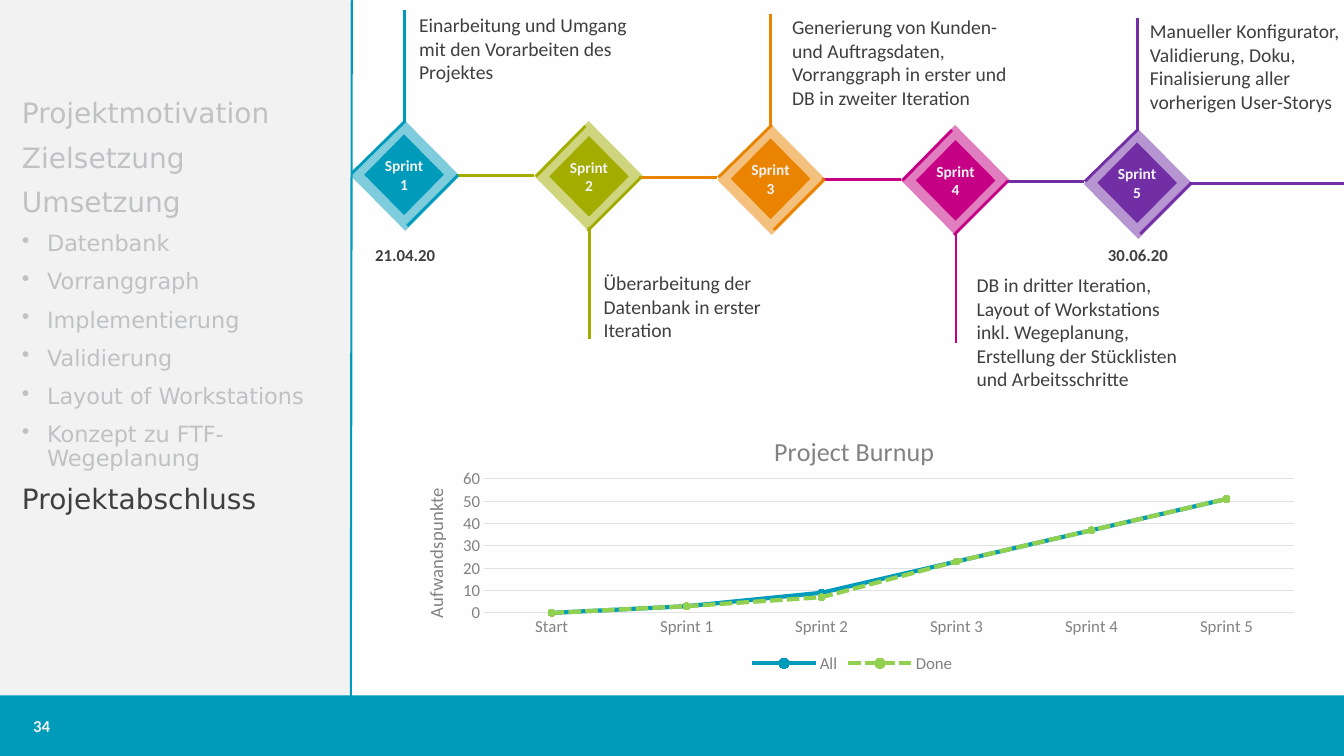
from lxml import etree
from pptx import Presentation
from pptx.chart.data import CategoryChartData
from pptx.dml.color import RGBColor
from pptx.enum.chart import XL_CHART_TYPE as ChartType
from pptx.enum.chart import XL_LEGEND_POSITION as LegendPosition
from pptx.enum.chart import XL_MARKER_STYLE as MarkerStyle
from pptx.enum.chart import XL_TICK_MARK as TickMark
from pptx.enum.dml import MSO_LINE as Dash
from pptx.enum.shapes import MSO_CONNECTOR as Connector
from pptx.enum.shapes import MSO_SHAPE as Shape
from pptx.enum.text import MSO_ANCHOR as Anchor
from pptx.enum.text import PP_ALIGN as Align
from pptx.oxml.ns import qn
from pptx.util import Pt

WHITE = RGBColor(0xFF, 0xFF, 0xFF)
PALE = RGBColor(0xF2, 0xF2, 0xF2)
TEAL = RGBColor(0x00, 0x9B, 0xBB)
OLIVE = RGBColor(0xA2, 0xAD, 0x00)
ORANGE = RGBColor(0xE9, 0x83, 0x00)
MAGENTA = RGBColor(0xC5, 0x00, 0x84)
PURPLE = RGBColor(0x72, 0x2E, 0xA5)
GREEN = RGBColor(0x92, 0xD0, 0x50)
DARK = RGBColor(0x3F, 0x3F, 0x3F)
MUTED = RGBColor(0xBF, 0xC1, 0xC2)
AXIS_TEXT = RGBColor(0x82, 0x82, 0x82)
GRID = RGBColor(0xE2, 0xE2, 0xE2)

SLIDE_WIDTH, SLIDE_HEIGHT = 960, 540
SPRINT_COLORS = [TEAL, OLIVE, ORANGE, MAGENTA, PURPLE]
FIRST_LEFT, FIRST_TOP = 250.6, 86.4
SPRINT_STEP, PAIR_DROP = 130.9, 2.9
DIAMOND_WIDTH, DIAMOND_HEIGHT = 77.8, 78.5
CORE_WIDTH, CORE_HEIGHT = 56.9, 57.6

DESCRIPTIONS = [
    (292.3, 5.8, 184.3, 51.8, "Einarbeitung und Umgang mit den Vorarbeiten des Projektes"),
    (424.1, 190.1, 172.1, 69.1, "Überarbeitung der Datenbank in erster Iteration"),
    (558.7, 7.2, 172.1, 85.7, "Generierung von Kunden- und Auftragsdaten, "
     "Vorranggraph in erster und DB in zweiter Iteration"),
    (690.5, 191.5, 172.1, 92.2, "DB in dritter Iteration, Layout of Workstations "
     "inkl. Wegeplanung, Erstellung der Stücklisten und Arbeitsschritte"),
    (814.3, 10.1, 151.2, 74.9, "Manueller Konfigurator,\vValidierung, Doku, "
     "Finalisierung aller vorherigen User-Storys"),
]
AGENDA = [
    ("Projektmotivation", False), ("Zielsetzung", False), ("Umsetzung", False),
    ("Datenbank", True), ("Vorranggraph", True), ("Implementierung", True),
    ("Validierung", True), ("Layout of Workstations", True),
    ("Konzept zu FTF-Wegeplanung", True), ("Projektabschluss", False),
]
CURRENT_TOPIC = "Projektabschluss"


def style_font(font, size, color, bold=False, name="Calibri"):
    font.name, font.size, font.bold = name, Pt(size), bold
    font.color.rgb = color


def add_block(slide, preset, left, top, width, height, color, opacity=100):
    block = slide.shapes.add_shape(preset, Pt(left), Pt(top), Pt(width), Pt(height))
    block.shadow.inherit = False
    block.fill.solid()
    block.fill.fore_color.rgb = color
    block.line.fill.background()
    if opacity < 100:
        srgb = block.fill._xPr.find(".//" + qn("a:srgbClr"))
        etree.SubElement(srgb, qn("a:alpha"), val=str(opacity * 1000))
    return block


def add_line(slide, start, end, color, width=2):
    line = slide.shapes.add_connector(Connector.STRAIGHT, *map(Pt, (*start, *end)))
    line.line.color.rgb = color
    line.line.width = Pt(width)
    etree.SubElement(line._element.spPr, qn("a:effectLst"))


def add_text(slide, left, top, width, height, text, size, color,
             bold=False, wrap=True, align=Align.LEFT, anchor=Anchor.TOP):
    frame = slide.shapes.add_textbox(Pt(left), Pt(top), Pt(width), Pt(height)).text_frame
    frame.word_wrap = wrap
    frame.vertical_anchor = anchor
    frame.text = text
    paragraph = frame.paragraphs[0]
    paragraph.alignment = align
    style_font(paragraph.font, size, color, bold)


def add_sprint(slide, index):
    """Draw one diamond, its stem and accents, and the link to the next sprint."""
    color = SPRINT_COLORS[index]
    left = FIRST_LEFT + SPRINT_STEP * index
    top = FIRST_TOP + PAIR_DROP * (index // 2)
    points_up = index % 2 == 0
    inset = 9.6 if points_up else 10.8

    def accent(x1, y1, x2, y2, line_color=color):
        add_line(slide, (left + x1, top + y1), (left + x2, top + y2), line_color)

    is_last = index == len(SPRINT_COLORS) - 1
    link_color = color if is_last else SPRINT_COLORS[index + 1]
    link_end = SLIDE_WIDTH - left if is_last else SPRINT_STEP
    link_y = 38.9 if points_up else 40.6
    accent(75, link_y, link_end, link_y, link_color)

    add_block(slide, Shape.DIAMOND, left, top, DIAMOND_WIDTH, DIAMOND_HEIGHT, color, 50)
    core = add_block(slide, Shape.DIAMOND, left + inset, top + inset,
                     CORE_WIDTH, CORE_HEIGHT, color)
    frame = core.text_frame
    frame.margin_left = frame.margin_right = 0
    frame.vertical_anchor = Anchor.MIDDLE
    frame.text = f"Sprint\v{index + 1}"
    label = frame.paragraphs[0]
    label.alignment = Align.CENTER
    style_font(label.font, 11, PALE, bold=True)

    if points_up:
        accent(0.7, 37.4, 38.9, 0)
        accent(38.2, -79.2, 38.2, 0.7)
        accent(40.3, 74.9, 76.3, 38.9)
    else:
        accent(76.3, 40.3, 38.2, 78.5)
        accent(39.6, 155.5, 39.6, 75.6)
        accent(36.7, 3.6, 1.4, 39.6)


def add_agenda(slide):
    frame = slide.shapes.add_textbox(Pt(8.6), Pt(67.7), Pt(239.8), Pt(419.8)).text_frame
    frame.word_wrap = True
    for number, (topic, is_sub) in enumerate(AGENDA):
        paragraph = frame.add_paragraph() if number else frame.paragraphs[0]
        paragraph.text = topic
        paragraph.line_spacing = 0.9
        paragraph.space_before = Pt(10 if number else 0)
        if is_sub:
            properties = paragraph._p.get_or_add_pPr()
            properties.set("marL", str(Pt(18)))
            properties.set("indent", str(Pt(-18)))
            etree.SubElement(properties, qn("a:buChar"), char="•")
        color = DARK if topic == CURRENT_TOPIC else MUTED
        style_font(paragraph.font, 16 if is_sub else 20, color, name="DejaVu Sans")


def place(element, position, **fractions):
    """Give a chart part a manual layout, as fractions of the chart area."""
    layout = element.find(qn("c:layout"))
    if layout is None:
        layout = etree.Element(qn("c:layout"))
        element.insert(position, layout)
    manual = etree.SubElement(layout, qn("c:manualLayout"))
    settings = {"layoutTarget": "inner"} if "w" in fractions else {}
    settings.update(xMode="edge", yMode="edge", **fractions)
    for tag, value in settings.items():
        etree.SubElement(manual, qn("c:" + tag), val=str(value))


def set_title(title, text, size, x, y):
    title.text_frame.text = text
    style_font(title.text_frame.paragraphs[0].font, size, AXIS_TEXT)
    place(title._element, 1, x=x, y=y)


def add_burnup_chart(slide):
    data = CategoryChartData()
    data.categories = ["Start"] + [f"Sprint {n}" for n in range(1, 6)]
    data.add_series("All", [0, 3, 9, 23, 37, 51])
    data.add_series("Done", [0, 3, 7, 23, 37, 51])
    chart = slide.shapes.add_chart(ChartType.LINE_MARKERS, Pt(280.1), Pt(292.3),
                                   Pt(657.4), Pt(191.5), data).chart
    style_font(chart.font, 10, DARK)
    set_title(chart.chart_title, "Project Burnup", 18.6, 0.41, 0.07)
    chart.has_legend = True
    chart.legend.position = LegendPosition.BOTTOM
    chart.legend.include_in_layout = False
    style_font(chart.legend.font, 12, AXIS_TEXT)

    sprints, effort = chart.category_axis, chart.value_axis
    for axis in (sprints, effort):
        axis.major_tick_mark = axis.minor_tick_mark = TickMark.NONE
        style_font(axis.tick_labels.font, 12, AXIS_TEXT)
    effort.minimum_scale, effort.maximum_scale, effort.major_unit = 0, 60, 10
    effort.format.line.fill.background()
    for line in (sprints.format.line, effort.major_gridlines.format.line):
        line.color.rgb = GRID
        line.width = Pt(0.75)
    set_title(effort.axis_title, "Aufwandspunkte", 13.3, 0.03, 0.28)
    effort.axis_title.text_frame._txBody.bodyPr.set("rot", "-5400000")

    plot = chart.plots[0]
    plot.vary_by_categories = False
    for series, color in zip(plot.series, (TEAL, GREEN)):
        series.smooth = False
        series.format.line.color.rgb = color
        series.format.line.width = Pt(3)
        series.marker.style, series.marker.size = MarkerStyle.CIRCLE, 5
        series.marker.format.fill.solid()
        series.marker.format.fill.fore_color.rgb = color
        series.marker.format.line.color.rgb = color
    plot.series[1].format.line.dash_style = Dash.SQUARE_DOT
    place(chart._chartSpace.chart.plotArea, 0, x=0.1, y=0.26, w=0.88, h=0.5)


def main():
    deck = Presentation()
    deck.slide_width, deck.slide_height = Pt(SLIDE_WIDTH), Pt(SLIDE_HEIGHT)
    slide = deck.slides.add_slide(deck.slide_layouts[6])
    slide.background.fill.solid()
    slide.background.fill.fore_color.rgb = PALE
    add_block(slide, Shape.RECTANGLE, 251.3, 0, 708.7, 519.8, WHITE, 94)
    add_block(slide, Shape.RECTANGLE, 0, 0, 250.6, SLIDE_HEIGHT, PALE)
    add_block(slide, Shape.RECTANGLE, 0, 496.8, SLIDE_WIDTH, 43.2, TEAL)
    add_line(slide, (251.3, 0), (250.6, 497.5), TEAL, 1.5)
    for index in range(len(SPRINT_COLORS)):
        add_sprint(slide, index)
    for *box, text in DESCRIPTIONS:
        add_text(slide, *box, text, 14, DARK)
    add_agenda(slide)
    add_text(slide, 16.6, 504, 216, 28.8, "34", 12, PALE, bold=True, anchor=Anchor.MIDDLE)
    for left, date in ((260.6, "21.04.20"), (784.1, "30.06.20")):
        add_text(slide, left, 171.4, 57.6, 21.6, date, 12, DARK,
                 bold=True, wrap=False, align=Align.CENTER)
    add_burnup_chart(slide)
    deck.save("out.pptx")


if __name__ == "__main__":
    main()
